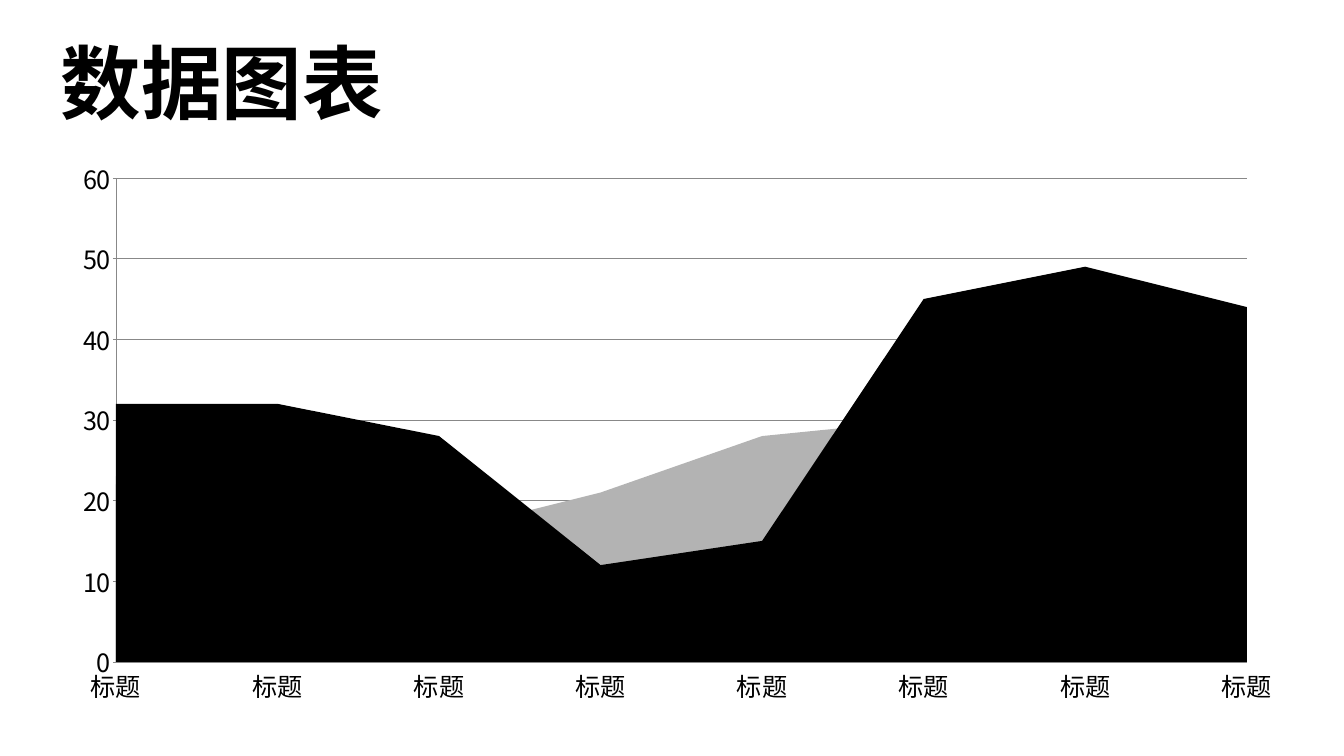
from dataclasses import dataclass

from lxml import etree
from pptx import Presentation
from pptx import util as u
from pptx.chart.data import CategoryChartData
from pptx.dml.color import RGBColor
from pptx.enum import chart as ch, text
from pptx.oxml import parse_xml
from pptx.oxml.ns import nsdecls, qn


@dataclass(frozen=True)
class Theme:
    font: str = "Noto Sans CJK SC"
    ink: str = "000000"
    grid: str = "888888"
    series: tuple = ("000000", "B3B3B3", "808080")
    title_size: int = 115
    label_size: int = 36
    line: float = 0.75


THEME = Theme()
W, H = u.Inches(26.67), u.Inches(15)

CATEGORIES = ["标题"] * 8
SERIES = [
    ("Series 1", (32, 32, 28, 12, 15, 45, 49, 44)),
    ("Series 2", (23, 15, 16, 21, 28, 30, 47, 36)),
    ("Series 3", (22, 12, 14, 16, 18, 19, 20, 21)),
]
# Plot area as shares of the chart frame
PLOT = {"x": 0.0464, "y": 0.0525, "w": 0.913, "h": 0.852}


def share(x, y, w, h):
    """Turn shares of the slide into a box."""
    return int(x * W), int(y * H), int(w * W), int(h * H)


def set_font(font, size, bold=False):
    font.name = THEME.font
    font.size = u.Pt(size)
    font.bold = bold
    font.color.rgb = RGBColor.from_string(THEME.ink)
    # East Asian text needs its own typeface entry, right after the latin one
    latin = font._element.find(qn("a:latin")) if hasattr(font, "_element") else font._rPr.find(qn("a:latin"))
    ea = etree.Element(qn("a:ea"), typeface=THEME.font)
    latin.addnext(ea)


def set_line(fmt):
    fmt.line.color.rgb = RGBColor.from_string(THEME.grid)
    fmt.line.width = u.Pt(THEME.line)


def add_title(s, box, words):
    tf = s.shapes.add_textbox(*box).text_frame
    tf.margin_left = tf.margin_right = tf.margin_top = tf.margin_bottom = 0
    tf.word_wrap = True
    tf.vertical_anchor = text.MSO_ANCHOR.MIDDLE
    tf.auto_size = text.MSO_AUTO_SIZE.SHAPE_TO_FIT_TEXT
    tf.text = words
    set_font(tf.paragraphs[0].runs[0].font, THEME.title_size, bold=True)


def fix_plot_area(chart):
    """Pin the inner plot area and let the areas reach both edges."""
    area = chart._chartSpace.chart.plotArea
    for old in area.findall(qn("c:layout")):
        area.remove(old)
    sizes = "".join(f'<c:{k} val="{v}"/>' for k, v in PLOT.items())
    modes = "".join(f'<c:{k}Mode val="edge"/>' for k in "xy")
    area.insert(0, parse_xml(
        f'<c:layout {nsdecls("c")}><c:manualLayout><c:layoutTarget val="inner"/>'
        f"{modes}{sizes}</c:manualLayout></c:layout>"))
    for cross in area.iter(qn("c:crossBetween")):
        cross.set("val", "midCat")


def add_area_chart(s, box):
    data = CategoryChartData()
    data.categories = CATEGORIES
    for name, values in SERIES:
        data.add_series(name, values)
    chart = s.shapes.add_chart(ch.XL_CHART_TYPE.AREA, *box, data).chart
    chart.has_title = chart.has_legend = False
    set_font(chart.font, THEME.label_size)

    # Series
    plot = chart.plots[0]
    plot.vary_by_categories = False
    for series, color in zip(plot.series, THEME.series):
        series.format.fill.solid()
        series.format.fill.fore_color.rgb = RGBColor.from_string(color)
        series.format.line.fill.background()

    # Axes
    cat, val = chart.category_axis, chart.value_axis
    for axis in (cat, val):
        axis.major_tick_mark = ch.XL_TICK_MARK.OUTSIDE
        axis.minor_tick_mark = ch.XL_TICK_MARK.NONE
    cat.has_major_gridlines = False
    cat.format.line.fill.background()
    val.minimum_scale, val.maximum_scale, val.major_unit = 0, 60, 10
    val.has_major_gridlines = True
    set_line(val.format)
    set_line(val.major_gridlines.format)
    fix_plot_area(chart)


def main():
    prs = Presentation()
    prs.slide_width, prs.slide_height = W, H
    s = prs.slides.add_slide(prs.slide_layouts[6])
    add_area_chart(s, share(0.0435, 0.196, 0.9216, 0.7513))
    add_title(s, share(0.0454, 0.0433, 0.4586, 0.1293), "数据图表")
    prs.save("out.pptx")


if __name__ == "__main__":
    main()
